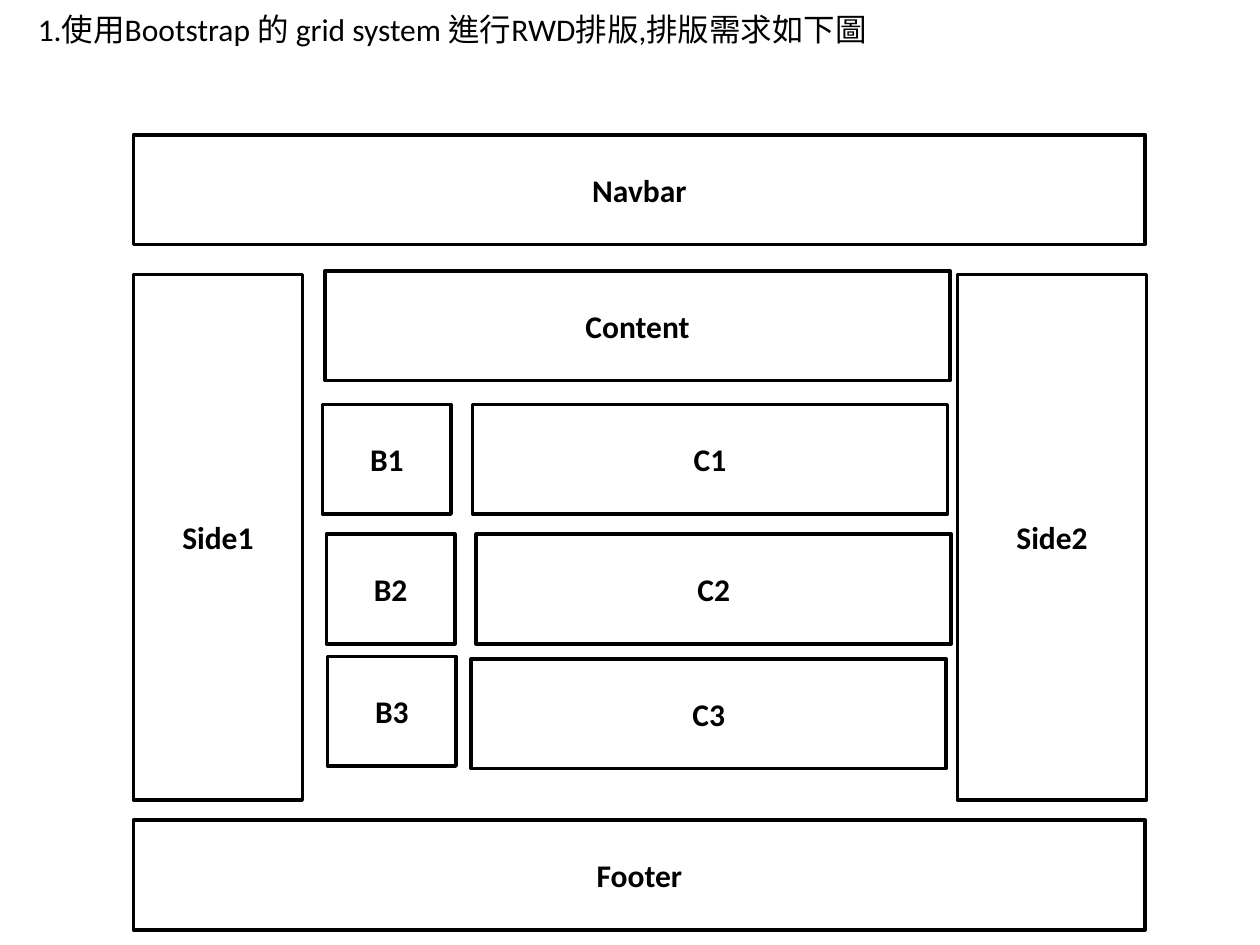
from pptx import Presentation
from pptx.dml.color import RGBColor
from pptx.enum.lang import MSO_LANGUAGE_ID as Language
from pptx.enum.shapes import MSO_SHAPE as Shape
from pptx.enum.text import MSO_ANCHOR as Anchor, MSO_AUTO_SIZE as AutoSize, PP_ALIGN as Align
from pptx.util import Inches, Pt


def color(value):
    return RGBColor.from_string(value)


def write(frame, text, size=18, font="Calibri", ink="000000", bold=False,
          align=Align.CENTER, anchor=Anchor.MIDDLE, before=0, language=None):
    frame.word_wrap = True
    frame.auto_size = AutoSize.NONE
    frame.vertical_anchor = anchor
    paragraph = frame.paragraphs[0]
    paragraph.alignment = align
    paragraph.space_before = Pt(before)
    run = paragraph.add_run()
    run.text = text
    run.font.size = Pt(size)
    run.font.name = font
    run.font.bold = bold
    run.font.color.rgb = color(ink)
    if language:
        run.font.language_id = language


class Wireframe:
    """Black-outlined layout blocks on one slide."""

    fill = "FFFFFF"
    line = "000000"
    line_width = 2

    def __init__(self, presentation):
        self.slide = presentation.slides.add_slide(presentation.slide_layouts[5])

    def title(self, text, left, top, width, height):
        shape = self.slide.shapes.title
        shape.left, shape.top = Inches(left), Inches(top)
        shape.width, shape.height = Inches(width), Inches(height)
        write(shape.text_frame, text, align=Align.LEFT, anchor=Anchor.TOP,
              before=3.6, language=Language.TRADITIONAL_CHINESE)

    def block(self, text, left, top, width, height):
        shape = self.slide.shapes.add_shape(
            Shape.RECTANGLE, Inches(left), Inches(top), Inches(width), Inches(height))
        shape.shadow.inherit = False
        shape.fill.solid()
        shape.fill.fore_color.rgb = color(self.fill)
        shape.line.color.rgb = color(self.line)
        shape.line.width = Pt(self.line_width)
        write(shape.text_frame, text, bold=True)


presentation = Presentation()
presentation.slide_width, presentation.slide_height = Inches(10), Inches(7.5)
page = Wireframe(presentation)

# Task statement
page.title("1.使用Bootstrap 的 grid system 進行RWD排版,排版需求如下圖".replace(",", ","),
           0.2, 0.03, 9.29, 0.94)

# Full-width bars
page_left, page_width, bar_height = 1.06, 8.03, 0.87
for name, top in (("Navbar", 1.07), ("Footer", 6.51)):
    page.block(name, page_left, top, page_width, bar_height)

# Side columns
for name, left, width in (("Side1", page_left, 1.34), ("Side2", 7.6, 1.5)):
    page.block(name, left, 2.18, width, 4.17)

# Content header and its rows of a narrow and a wide block
page.block("Content", 2.58, 2.15, 4.96, bar_height)
rows = [((2.56, 3.21), (3.75, 3.21)),
        ((2.59, 4.24), (3.78, 4.24)),
        ((2.6, 5.21), (3.74, 5.23))]
for number, (narrow, wide) in enumerate(rows, start=1):
    page.block(f"B{number}", *narrow, 1.02, bar_height)
    page.block(f"C{number}", *wide, 3.77, bar_height)

presentation.save("out.pptx")
